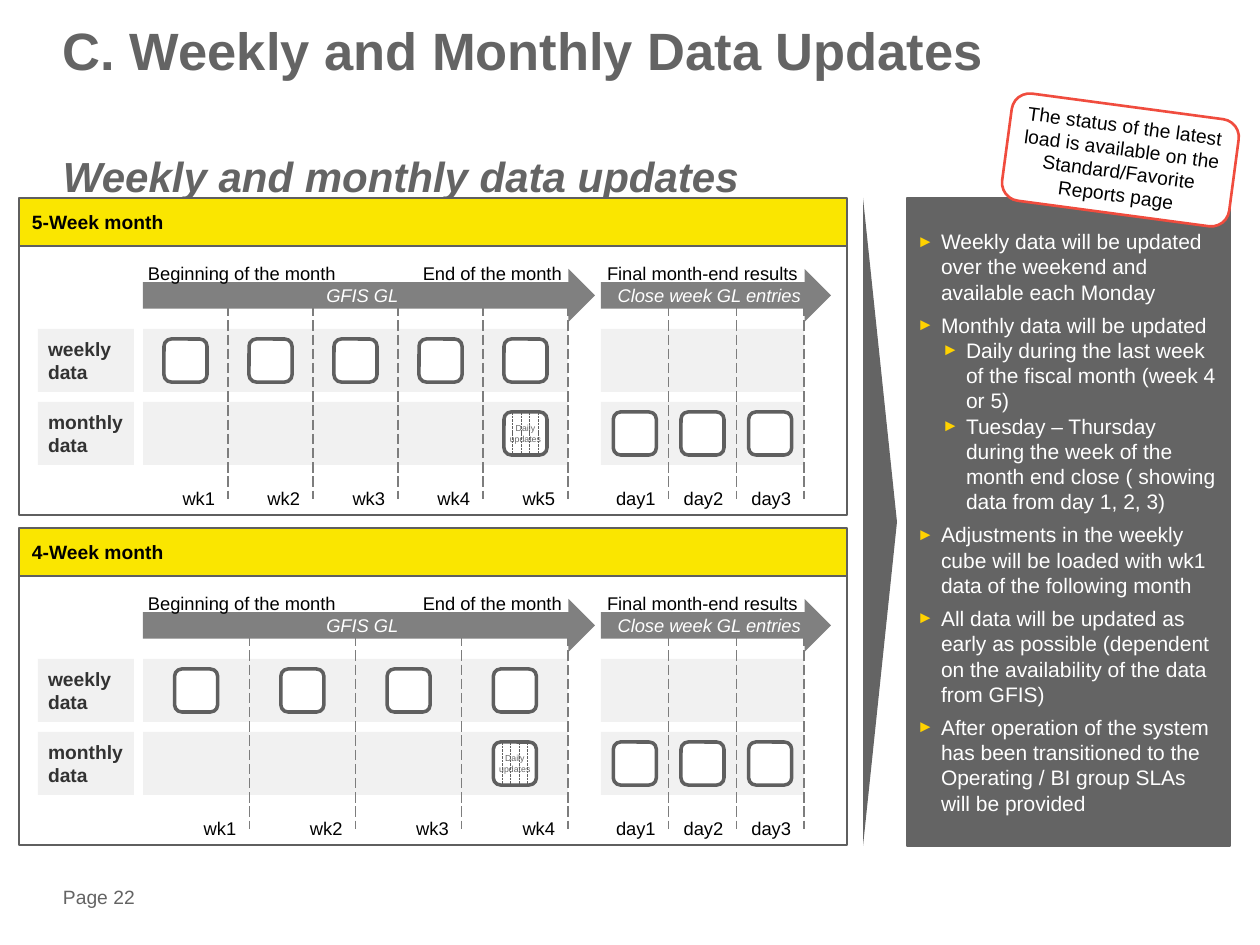
from lxml import etree
from pptx import Presentation
from pptx import util as u
from pptx.dml.color import RGBColor
from pptx.enum import dml, shapes, text
from pptx.oxml import ns

SCALE = 914400 / 126
GRAY, EDGE, BAND, ARROW = "646464", "5F5F5F", "F1F1F1", "808080"
WHITE, BLACK, YELLOW = "FFFFFF", "000000", "FAE600"
KIND = shapes.MSO_SHAPE
LEFT, MID, RIGHT = text.PP_ALIGN.LEFT, text.PP_ALIGN.CENTER, text.PP_ALIGN.RIGHT
WEEKS, DAYS = (143, 425), (601, 203)  # left, width
PITCH = 330
BOX = 43

NOTES = [
    (0, "Weekly data will be updated over the weekend and available each Monday"),
    (0, "Monthly data will be updated"),
    (1, "Daily during the last week of the fiscal month (week 4 or 5)"),
    (1, "Tuesday – Thursday during the week of the month end close "
        "( showing data from day 1, 2, 3)"),
    (0, "Adjustments in the weekly cube will be loaded with wk1 data of the "
        "following month"),
    (0, "All data will be updated as early as possible (dependent on the "
        "availability of the data from GFIS)"),
    (0, "After operation of the system has been transitioned to the "
        "Operating / BI group SLAs will be provided"),
]


def px(n):
    return u.Emu(round(n * SCALE))


def rgb(color):
    return RGBColor.from_string(color)


def style(para, size, color, bold=False, italic=False, align=LEFT):
    para.alignment = align
    font = para.font
    font.name, font.size = "Arial", u.Pt(size)
    font.bold, font.italic = bold, italic
    font.color.rgb = rgb(color)


def frame(shape, inset, middle=True, wrap=True):
    """Set margins (left, top, right, bottom), anchor and wrapping."""
    body = shape.text_frame
    body.word_wrap = wrap
    body.vertical_anchor = text.MSO_ANCHOR.MIDDLE if middle else text.MSO_ANCHOR.TOP
    (body.margin_left, body.margin_top,
     body.margin_right, body.margin_bottom) = map(px, inset)
    return body


def write(shape, words, size, color, inset=(0, 0, 0, 0), middle=True, wrap=True,
          **look):
    body = frame(shape, inset, middle, wrap)
    body.text = words
    for para in body.paragraphs:
        style(para, size, color, **look)
    return body


def label(slide, x, y, w, h, words, size, color, **look):
    box = slide.shapes.add_textbox(px(x), px(y), px(w), px(h))
    return write(box, words, size, color, **look)


def block(slide, kind, x, y, w, h, fill, edge=None, weight=1):
    shape = slide.shapes.add_shape(kind, px(x), px(y), px(w), px(h))
    shape.shadow.inherit = False
    shape.fill.solid()
    shape.fill.fore_color.rgb = rgb(fill)
    if edge:
        shape.line.color.rgb = rgb(edge)
        shape.line.width = u.Pt(weight)
    else:
        shape.line.fill.background()
    return shape


def dash(slide, x, top, end, color, weight, kind):
    """Draw a vertical dashed line."""
    line = slide.shapes.add_connector(
        shapes.MSO_CONNECTOR.STRAIGHT, px(x), px(top), px(x), px(end))
    line.line.color.rgb = rgb(color)
    line.line.width = u.Pt(weight)
    line.line.dash_style = kind
    etree.SubElement(line._element.spPr, ns.qn("a:effectLst"))


def tile(slide, x, y):
    return block(slide, KIND.ROUNDED_RECTANGLE, x, y, BOX, BOX, WHITE, EDGE, 2)


def daily(slide, x, y):
    """Draw the tile that is split into daily updates."""
    write(tile(slide, x, y), "Daily updates", 5, GRAY, align=MID)
    for i in range(1, 5):
        dash(slide, x + BOX * i / 5, y, y + BOX, EDGE, 0.5,
             dml.MSO_LINE.SQUARE_DOT)


def arrow(slide, x, y, w, words):
    shape = block(slide, KIND.RIGHT_ARROW, x, y, w, 53, ARROW)
    write(shape, words, 10.5, WHITE, italic=True, align=MID)


def panel(slide, top, count):
    """Draw the schedule of a month with the given count of weeks."""
    head = block(slide, KIND.RECTANGLE, 19, top, 828, 48, YELLOW, EDGE)
    write(head, f"{count}-Week month", 11, BLACK, inset=(13, 6, 13, 6), bold=True)
    block(slide, KIND.RECTANGLE, 19, top + 48, 828, 269, WHITE, EDGE)

    week, month = top + 131, top + 204
    for name, y in (("weekly", week), ("monthly", month)):
        for x, w in (WEEKS, DAYS):
            block(slide, KIND.RECTANGLE, x, y, w, 63, BAND)
        side = block(slide, KIND.RECTANGLE, 38, y, 96, 63, BAND)
        write(side, f"{name}\ndata", 11, "323232", inset=(10, 6, 5, 6), bold=True)

    spans = ((WEEKS, count, "wk", 60, week), (DAYS, 3, "day", 68, month))
    for (left, width), parts, name, wide, y in spans:
        step = width / parts
        for i in range(parts):
            end = left + step * (i + 1)
            dash(slide, end, top + 94, top + 301, "7D7D7D", 0.75,
                 dml.MSO_LINE.LONG_DASH)
            label(slide, end - wide, top + 283, wide, 36, f"{name}{i + 1}", 10.5,
                  BLACK, inset=(13, 6, 13, 6), middle=False, wrap=False, align=RIGHT)
            tile(slide, end - (step + BOX) / 2, y + 10)
    daily(slide, sum(WEEKS) - (WEEKS[1] / count + BOX) / 2, month + 10)

    arrow(slide, WEEKS[0], top + 71, 452, "GFIS GL")
    arrow(slide, DAYS[0], top + 71, 230, "Close week GL entries")
    for x, w, words, align in (
            (143, 201, "Beginning of the month", LEFT),
            (416, 151, "End of the month", RIGHT),
            (599, 204, "Final month-end results", RIGHT)):
        label(slide, x, top + 58, w, 35, words, 10.5, BLACK, inset=(5, 6, 5, 6),
              middle=False, wrap=False, align=align)


def bullet(para, level):
    props = para._p.get_or_add_pPr()
    props.set("marL", str(px(24 + 25 * level)))
    props.set("indent", str(-px(24)))
    color = etree.SubElement(props, ns.qn("a:buClr"))
    etree.SubElement(color, ns.qn("a:srgbClr"), val="FFD200")
    etree.SubElement(props, ns.qn("a:buSzPct"), val="80000")
    etree.SubElement(props, ns.qn("a:buFont"), typeface="Arial")
    etree.SubElement(props, ns.qn("a:buChar"), char="►")


def sidebar(slide):
    shape = block(slide, KIND.RECTANGLE, 907, 198, 323, 648, GRAY, GRAY, 1.5)
    body = frame(shape, (10, 8, 10, 8))
    for i, (level, words) in enumerate(NOTES):
        para = body.paragraphs[0] if i == 0 else body.add_paragraph()
        para.text = words
        bullet(para, level)
        if i and level == 0:
            para.space_before = u.Pt(4.6)
        style(para, 12, WHITE)


def main():
    deck = Presentation()
    deck.slide_width, deck.slide_height = px(1260), px(945)
    slide = deck.slides.add_slide(deck.slide_layouts[6])

    label(slide, 63, 883, 100, 28, "Page 22", 11, GRAY)
    title = label(slide, 63, 28, 1134, 118, "C. Weekly and Monthly Data Updates",
                  30, GRAY, middle=False, bold=True)
    title.paragraphs[0].line_spacing = 0.85
    label(slide, 63, 151, 1134, 73, "Weekly and monthly data updates", 24, GRAY,
          middle=False, bold=True, italic=True)

    for i, count in enumerate((5, 4)):
        panel(slide, 198 + PITCH * i, count)

    wedge = block(slide, KIND.ISOSCELES_TRIANGLE, 556, 505, 648, 34, GRAY)
    wedge.rotation = 90
    sidebar(slide)
    status = block(slide, KIND.ROUNDED_RECTANGLE, 1006, 106, 229, 108, WHITE,
                   "F04C3E", 1.5)
    status.rotation = 7.6
    write(status, "The status of the latest load is available on the "
          "Standard/Favorite Reports page", 11, BLACK, inset=(5, 0, 5, 0), align=MID)
    deck.save("out.pptx")


if __name__ == "__main__":
    main()
